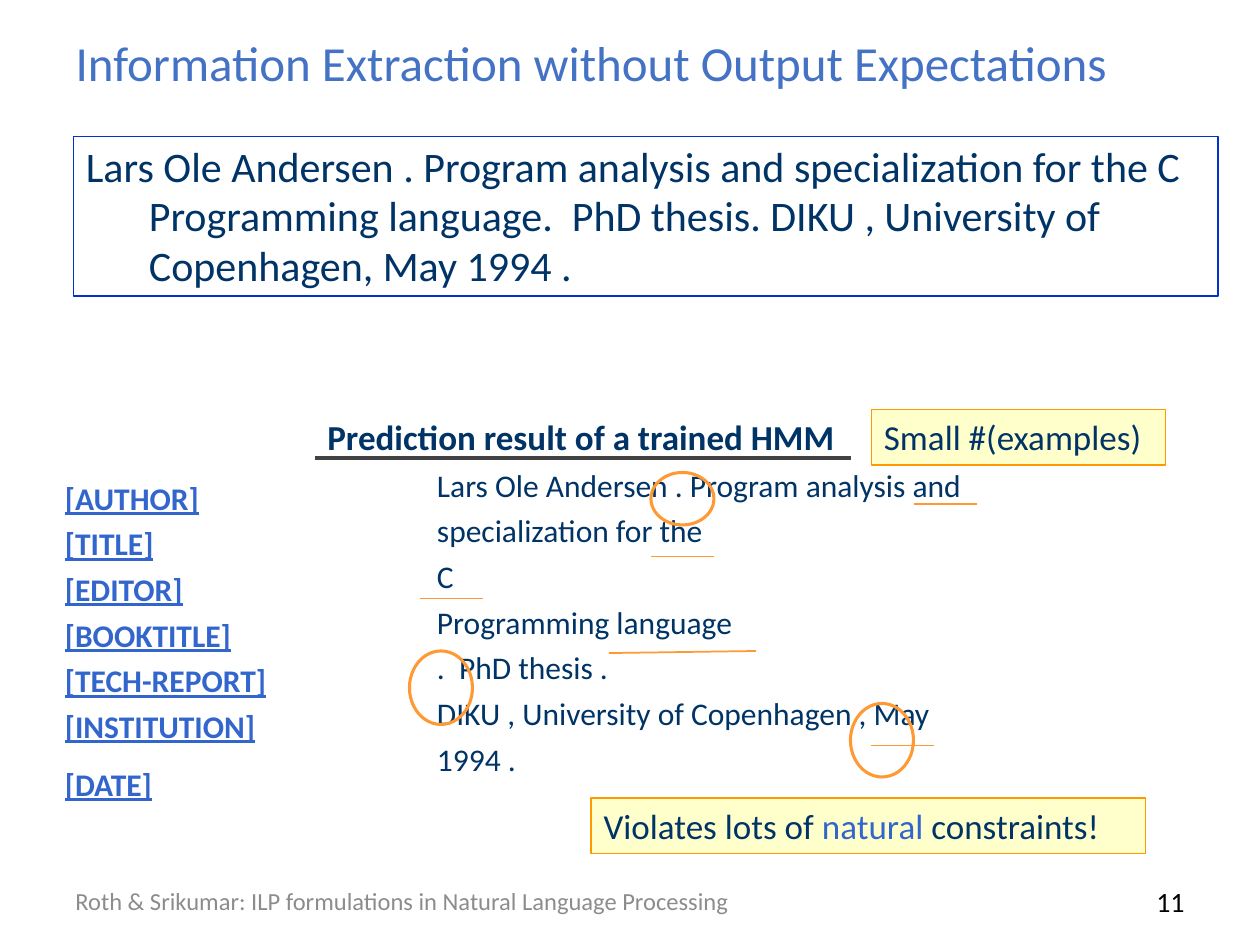
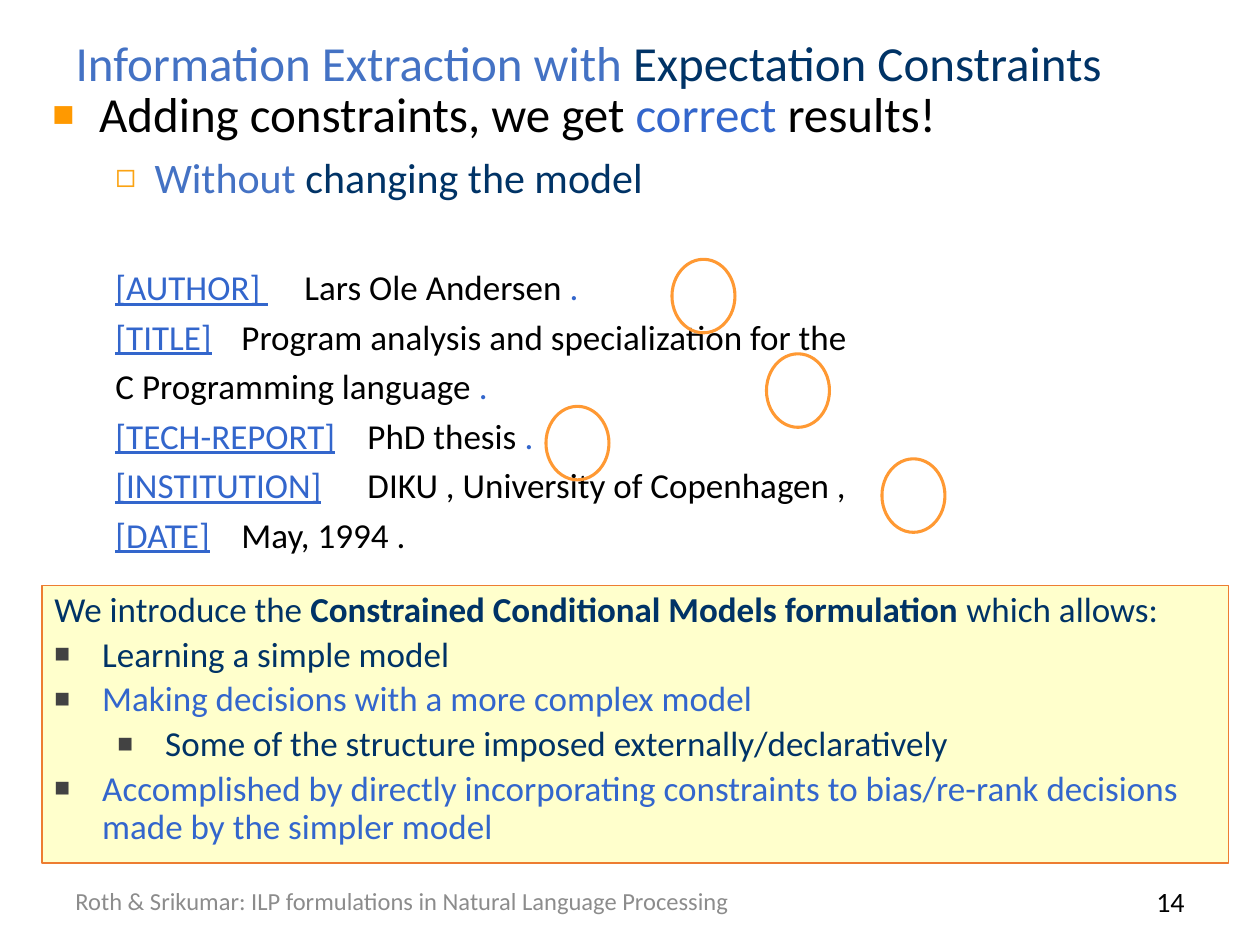
from lxml import etree
from pptx import Presentation
from pptx.dml.color import RGBColor
from pptx.enum.shapes import MSO_CONNECTOR, MSO_SHAPE
from pptx.enum.text import MSO_ANCHOR, MSO_AUTO_SIZE, PP_ALIGN
from pptx.oxml.ns import qn
from pptx.util import Inches, Pt

LEFT, RIGHT = PP_ALIGN.LEFT, PP_ALIGN.RIGHT
TOP, MIDDLE = MSO_ANCHOR.TOP, MSO_ANCHOR.MIDDLE
RECTANGLE, OVAL = MSO_SHAPE.RECTANGLE, MSO_SHAPE.OVAL
STRAIGHT = MSO_CONNECTOR.STRAIGHT
NO_AUTOFIT = MSO_AUTO_SIZE.NONE

FONT = "Calibri"
COLORS = {
    "title": "4472C4", "navy": "003366", "blue": "3366CC", "black": "000000",
    "footer": "8C8C8C", "mark": "FF9933", "amber": "FF9900", "gold": "FBA313",
    "rust": "ED7D31", "frame": "0033CC", "note": "FFFFCC", "rule": "424242",
}
SLIDE_WIDTH, SLIDE_HEIGHT = Inches(10), Inches(7.5)
COLUMN, ROW = SLIDE_WIDTH / 120, SLIDE_HEIGHT / 90

TITLE_BOX = (6, 1.8, 108, 8.2)
FOOTER_BOX = (6, 83.4, 73, 4.8)
NUMBER_BOX = (86, 83.4, 28, 4.8)
FOOTER = "Roth & Srikumar: ILP formulations in Natural Language Processing"


def color(name):
    return RGBColor.from_string(COLORS[name])


def grid(left, top, width, height):
    return [int(left * COLUMN), int(top * ROW), int(width * COLUMN), int(height * ROW)]


def within(box, left, top, width, height):
    return box[0] + left, box[1] + top, width, height


def add_bullet(properties, bullet):
    if bullet is None:
        etree.SubElement(properties, qn("a:buNone"))
        return
    character, bullet_color, percent = bullet
    holder = etree.SubElement(properties, qn("a:buClr"))
    etree.SubElement(holder, qn("a:srgbClr"), val=COLORS[bullet_color])
    etree.SubElement(properties, qn("a:buSzPct"), val=str(percent * 1000))
    etree.SubElement(properties, qn("a:buFont"), typeface="Arial")
    etree.SubElement(properties, qn("a:buChar"), char=character)


def format_paragraph(paragraph, runs, size, align=LEFT, before=0, spacing=1.0,
                     margin=0, indent=0, level=0, bullet=None, tabs=()):
    paragraph.alignment = align
    paragraph.level = level
    paragraph.space_before = Pt(before)
    paragraph.line_spacing = spacing
    properties = paragraph._p.get_or_add_pPr()
    properties.set("marL", str(Inches(margin)))
    properties.set("indent", str(Inches(indent)))
    add_bullet(properties, bullet)
    if tabs:
        tab_list = etree.SubElement(properties, qn("a:tabLst"))
        for stop in tabs:
            etree.SubElement(tab_list, qn("a:tab"), pos=str(Inches(stop)), algn="l")
    for text, color_name, *styles in runs:
        run = paragraph.add_run()
        run.text = text
        run.font.name = FONT
        run.font.size = Pt(size)
        run.font.color.rgb = color(color_name)
        run.font.bold = "bold" in styles
        run.font.underline = "underline" in styles


def write(shape, paragraphs, anchor=TOP, inset=None):
    frame = shape.text_frame
    frame.word_wrap = True
    frame.auto_size = NO_AUTOFIT
    frame.vertical_anchor = anchor
    if inset is not None:
        frame.margin_left = frame.margin_right = Inches(inset)
        frame.margin_top = frame.margin_bottom = Inches(inset)
    for index, options in enumerate(paragraphs):
        paragraph = frame.add_paragraph() if index else frame.paragraphs[0]
        format_paragraph(paragraph, **options)


def place(shape, box):
    shape.left, shape.top, shape.width, shape.height = grid(*box)


def add_text(slide, box, paragraphs, anchor=TOP):
    write(slide.shapes.add_textbox(*grid(*box)), paragraphs, anchor)


def add_outline(slide, kind, box, line, width, fill=None):
    shape = slide.shapes.add_shape(kind, *grid(*box))
    shape.shadow.inherit = False
    if fill:
        shape.fill.solid()
        shape.fill.fore_color.rgb = color(fill)
    else:
        shape.fill.background()
    shape.line.color.rgb = color(line)
    shape.line.width = Pt(width)
    return shape


def add_line(slide, start, end, line="mark", width=1):
    points = [int(value) for x, y in (start, end) for value in (x * COLUMN, y * ROW)]
    connector = slide.shapes.add_connector(STRAIGHT, *points)
    connector.line.color.rgb = color(line)
    connector.line.width = Pt(width)
    etree.SubElement(connector._element.spPr, qn("a:effectLst"))


def add_circles(slide, box, spots):
    for left, top, height in spots:
        add_outline(slide, OVAL, within(box, left, top, 6, height), "mark", 1.75)


def add_note(slide, box, runs):
    note = add_outline(slide, RECTANGLE, box, "amber", 0.75, "note")
    write(note, [dict(runs=runs, size=20)])


def add_frame(presentation, layout, title_runs, number):
    slide = presentation.slides.add_slide(presentation.slide_layouts[layout])
    place(slide.shapes.title, TITLE_BOX)
    write(slide.shapes.title, [dict(runs=title_runs, size=28)], MIDDLE)
    add_text(slide, FOOTER_BOX, [dict(runs=[(FOOTER, "footer")], size=14)], MIDDLE)
    add_text(slide, NUMBER_BOX,
             [dict(runs=[(str(number), "black")], size=16, align=RIGHT)], MIDDLE)
    return slide


def add_citation(slide, box, text):
    citation = add_outline(slide, RECTANGLE, box, "frame", 0.75)
    write(citation, [dict(runs=[(text, "navy")], size=24, spacing=0.98,
                          margin=0.5, indent=-0.5)])


def add_labels(slide, box, labels):
    last = len(labels) - 1
    add_text(slide, box, [
        dict(runs=[(label, "blue", "bold", "underline")], size=18,
             before=11.5 if index == last else 4.5)
        for index, label in enumerate(labels)])


def add_prediction(slide, box, heading, rows):
    left, top = box[:2]
    paragraphs = [dict(runs=[(heading, "navy", "bold")], size=20)]
    paragraphs += [dict(runs=[(row, "navy")], size=18, before=4.5, margin=0.87)
                   for row in rows]
    add_text(slide, box, paragraphs)
    add_line(slide, (left, top + 4.6), (left + 51, top + 4.6), "rule", 2.25)
    add_circles(slide, box, [(32, 6, 5), (9, 23, 7), (51, 28, 7)])
    for x, y in [(57, 9), (32, 14), (10, 18), (53, 32)]:
        add_line(slide, (left + x, top + y), (left + x + 6, top + y))
    add_line(slide, (left + 28, top + 23.2), (left + 42, top + 23))


def field_row(label, value, ending="", offset=2.87, before=5):
    runs = [("\t", "blue")]
    tabs = [offset]
    if label:
        runs += [(label, "blue", "underline"), ("\t", "blue")]
        tabs = [0.37, offset]
    runs.append((value, "black"))
    if ending:
        runs.append((ending, "blue"))
    return dict(runs=runs, size=20, spacing=0.97, before=before, tabs=tabs)


def add_results(slide, box):
    body = slide.placeholders[1]
    place(body, box)
    write(body, [
        dict(runs=[("Adding constraints, we get ", "black"), ("correct", "blue"),
                   (" results!", "black")],
             size=28, before=5.6, margin=0.37, indent=-0.37,
             bullet=("\u25a0", "amber", 75)),
        dict(runs=[("Without ", "title"), ("changing the model", "navy")],
             size=24, before=4.8, margin=0.81, indent=-0.31, level=1,
             bullet=("\u25fb", "gold", 80)),
        field_row("[AUTHOR] ", "Lars Ole Andersen ", ".", offset=3, before=38),
        field_row("[TITLE]", "Program analysis and specialization for the"),
        field_row("", "C Programming language ", ".", offset=3.37),
        field_row("[TECH-REPORT]", "PhD thesis ", "."),
        field_row("[INSTITUTION]", "DIKU , University of Copenhagen ,"),
        field_row("[DATE]", "May, 1994 ."),
    ], inset=0)
    add_circles(slide, box, [(59, 16.7, 7), (68, 25.7, 7), (47, 30.7, 7), (79, 35.7, 7)])


def add_summary(slide, box, introduction, points):
    summary = add_outline(slide, RECTANGLE, box, "rust", 0.75, "note")
    shared = dict(size=20, spacing=0.9, before=4, indent=-0.38)
    paragraphs = [dict(runs=introduction, margin=0.38, **shared)]
    paragraphs += [dict(runs=[(text, color_name)], level=level,
                        margin=0.38 + level / 2, bullet=("\u25a0", "rule", 75), **shared)
                   for text, color_name, level in points]
    write(summary, paragraphs)


def build_unconstrained(presentation):
    title = "Information Extraction without Output Expectations"
    slide = add_frame(presentation, 5, [(title, "title")], 11)
    add_citation(slide, (7, 13, 109, 15.2),
                 "Lars Ole Andersen . Program analysis and specialization for the C "
                 "Programming language.  PhD thesis. DIKU , University of "
                 "Copenhagen, May 1994 .")
    add_labels(slide, (5, 45, 34, 41),
               ["[AUTHOR]", "[TITLE]", "[EDITOR]", "[BOOKTITLE]", "[TECH-REPORT]",
                "[INSTITUTION]", "[DATE]"])
    add_prediction(slide, (30, 39, 85, 44), "Prediction result of a trained HMM",
                   ["Lars Ole Andersen . Program analysis and",
                    "specialization for the",
                    "C",
                    "Programming language",
                    ".  PhD thesis .",
                    "DIKU , University of Copenhagen , May",
                    "1994 ."])
    add_note(slide, (83, 39, 28, 5.3), [("Small #(examples)", "navy")])
    add_note(slide, (56.3, 76, 52.8, 5.3),
             [("Violates lots of ", "navy"), ("natural", "blue"),
              (" constraints!", "navy")])


def build_constrained(presentation):
    slide = add_frame(presentation, 1,
                      [("Information Extraction with ", "title"),
                       ("Expectation Constraints", "navy")], 14)
    add_results(slide, (5, 8, 108, 65))
    add_summary(slide, (4, 55.8, 113, 26.4),
                [("We introduce the ", "navy"),
                 ("Constrained Conditional Models formulation ", "navy", "bold"),
                 ("which allows:", "navy")],
                [("Learning a simple model", "navy", 0),
                 ("Making decisions with a more complex model", "blue", 0),
                 ("Some of the structure imposed externally/declaratively", "navy", 1),
                 ("Accomplished by directly incorporating constraints to "
                  "bias/re-rank decisions made by the simpler model", "blue", 0)])


presentation = Presentation()
presentation.slide_width, presentation.slide_height = SLIDE_WIDTH, SLIDE_HEIGHT
build_unconstrained(presentation)
build_constrained(presentation)
presentation.save("out.pptx")
